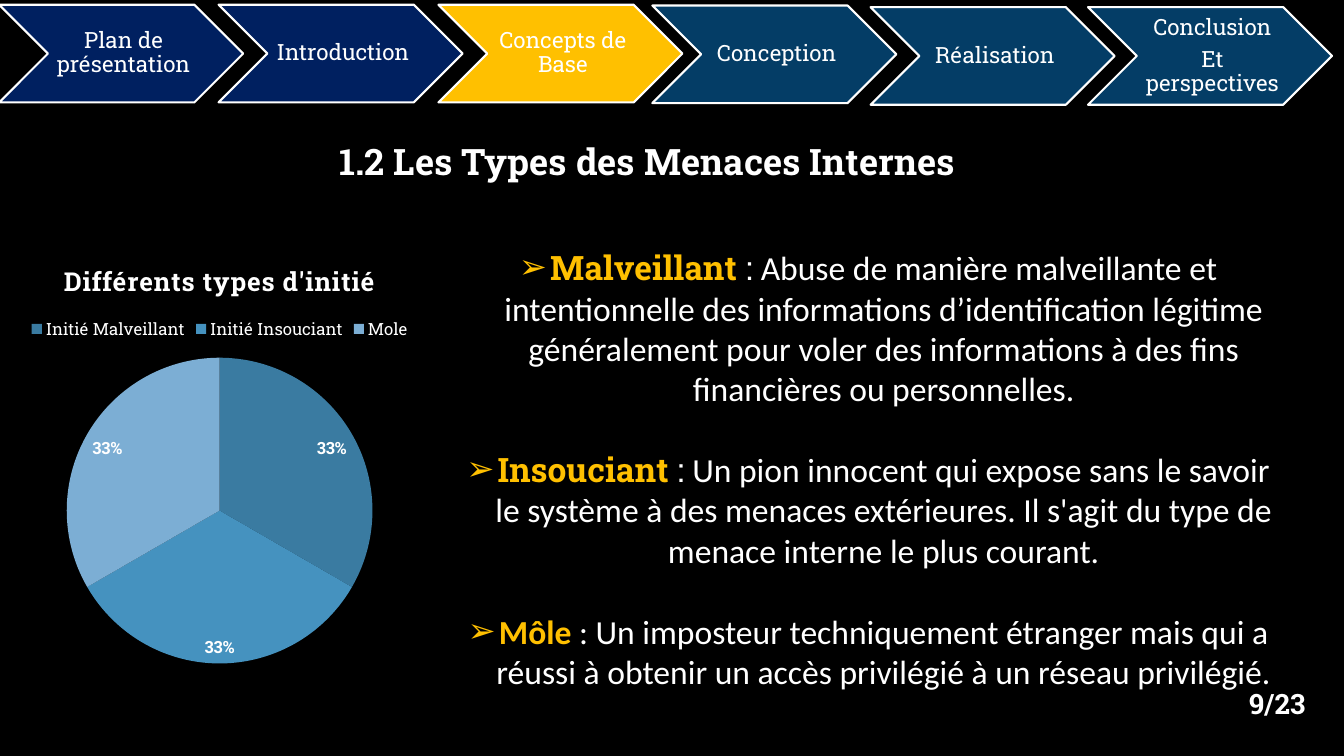
from lxml import etree
from pptx import Presentation
from pptx.chart.data import CategoryChartData
from pptx.dml.color import RGBColor
from pptx.enum.chart import XL_CHART_TYPE, XL_LABEL_POSITION, XL_LEGEND_POSITION
from pptx.enum.shapes import MSO_SHAPE
from pptx.enum.text import MSO_ANCHOR, MSO_AUTO_SIZE, PP_ALIGN
from pptx.oxml.ns import qn
from pptx.util import Cm, Pt

CENTER, RIGHT = PP_ALIGN.CENTER, PP_ALIGN.RIGHT
MIDDLE, TOP = MSO_ANCHOR.MIDDLE, MSO_ANCHOR.TOP
NO_FIT = MSO_AUTO_SIZE.NONE
CHEVRON = MSO_SHAPE.CHEVRON
PIE = XL_CHART_TYPE.PIE
INSIDE_END = XL_LABEL_POSITION.INSIDE_END
LEGEND_TOP = XL_LEGEND_POSITION.TOP

SLAB, SANS = "Roboto Slab", "Calibri"
COLORS = {
    "background": "000000",
    "text": "FFFFFF",
    "done": "002060",
    "current": "FFC000",
    "upcoming": "043D66",
    "malicious": "3A7BA1",
    "careless": "4592BF",
    "mole": "7CAED4",
}


def rgb(name):
    return RGBColor.from_string(COLORS[name])


def set_font(font, size, face=SLAB, color="text", bold=False):
    font.size, font.name, font.bold = Pt(size), face, bold
    font.color.rgb = rgb(color)


prs = Presentation()
prs.slide_width, prs.slide_height = Cm(33.87), Cm(19.05)
slide = prs.slides.add_slide(prs.slide_layouts[1])
slide.background.fill.solid()
slide.background.fill.fore_color.rgb = rgb("background")

# Title
title = slide.shapes.title
title.left, title.top, title.width, title.height = Cm(6.3), Cm(3.38), Cm(20.04), Cm(1.37)
title.text_frame.text = "1.2 Les Types des Menaces Internes"
title.text_frame.auto_size = NO_FIT
title.text_frame.vertical_anchor = MIDDLE
heading = title.text_frame.paragraphs[0]
heading.alignment = CENTER
set_font(heading.font, 26, bold=True)

# Progress chevrons: left, top, state, label
steps = [
    (-0.02, 0.12, "done", "Plan de présentation"),
    (5.51, 0.12, "done", "Introduction"),
    (11.05, 0.12, "current", "Concepts de Base"),
    (16.44, 0.14, "upcoming", "Conception"),
    (21.94, 0.18, "upcoming", "Réalisation"),
    (27.42, 0.18, "upcoming", "Conclusion\nEt perspectives"),
]
for left, top, state, label in steps:
    step = slide.shapes.add_shape(CHEVRON, Cm(left), Cm(top), Cm(6.15), Cm(2.46))
    step.shadow.inherit = False
    step.fill.solid()
    step.fill.fore_color.rgb = rgb(state)
    step.line.color.rgb = rgb("text")
    step.line.width = Pt(1.5)
    frame = step.text_frame
    frame.word_wrap = True
    frame.vertical_anchor = MIDDLE
    frame.margin_left = Cm(0.17)
    frame.margin_top = frame.margin_right = frame.margin_bottom = Cm(0.05)
    frame.text = label
    for line in frame.paragraphs:
        line.alignment = CENTER
        line.line_spacing = 0.9
        line.space_after = Pt(5.6)
        set_font(line.font, 16)

# Page number
page = slide.shapes.add_textbox(Cm(30.81), Cm(17.07), Cm(2.34), Cm(1.3)).text_frame
page.word_wrap = True
page.vertical_anchor = MIDDLE
page.text = "9/23"
page.paragraphs[0].alignment = RIGHT
set_font(page.paragraphs[0].font, 20, bold=True)

# Pie of insider types
insider_data = CategoryChartData()
insider_data.categories = ["Initié Malveillant", "Initié Insouciant", "Mole"]
insider_data.add_series("Différents types d'initié", (33, 33, 33))
insiders = slide.shapes.add_chart(
    PIE, Cm(-3.61), Cm(6.1), Cm(18.29), Cm(10.97), insider_data
).chart
set_font(insiders.font, 10)

insiders.has_title = True
insiders.chart_title.include_in_layout = False
caption = insiders.chart_title.text_frame
caption.text = "Différents types d'initié"
set_font(caption.paragraphs[0].runs[0].font, 18.6, bold=True)
caption.paragraphs[0].runs[0]._r.get_or_add_rPr().set("spc", "50")

insiders.has_legend = True
insiders.legend.position = LEGEND_TOP
insiders.legend.include_in_layout = False
set_font(insiders.legend.font, 12)

plot = insiders.plots[0]
plot.vary_by_categories = True
for index, slice_color in enumerate(("malicious", "careless", "mole")):
    fill = plot.series[0].points[index].format.fill
    fill.solid()
    fill.fore_color.rgb = rgb(slice_color)
plot.has_data_labels = True
shares = plot.data_labels
shares.show_percentage = True
shares.show_value = False
shares.number_format, shares.number_format_is_linked = "0%", False
shares.position = INSIDE_END
set_font(shares.font, 12, bold=True)

# Definitions: term, its font, separator, separator font, meaning
definitions = [
    ("Malveillant", SLAB, " : ", SLAB,
     "Abuse de manière malveillante et intentionnelle des informations "
     "d’identification légitime généralement pour voler des informations "
     "à des fins financières ou personnelles."),
    ("Insouciant", SLAB, " : ", SLAB,
     "Un pion innocent qui expose sans le savoir le système à des menaces "
     "extérieures. Il s'agit du type de menace interne le plus courant."),
    ("Môle", SANS, " : ", SANS,
     "Un imposteur techniquement étranger mais qui a réussi à obtenir "
     "un accès privilégié à un réseau privilégié."),
]
body = slide.placeholders[1]
body.left, body.top, body.width, body.height = Cm(11.18), Cm(6.1), Cm(21.39), Cm(12.32)
body.text_frame.auto_size = NO_FIT
body.text_frame.vertical_anchor = TOP
for index, (term, term_face, separator, separator_face, meaning) in enumerate(definitions):
    entry = body.text_frame.paragraphs[0] if index == 0 else body.text_frame.add_paragraph()
    entry.alignment = CENTER
    entry.space_before = Pt(29 if index else 0)
    properties = entry._p.get_or_add_pPr()
    properties.set("marL", str(Cm(0.79)))
    properties.set("indent", str(Cm(-0.79)))
    etree.SubElement(properties, qn("a:buChar")).set("char", "➢")
    for text, face, color in (
        (term, term_face, "current"),
        (separator, separator_face, "text"),
        (meaning, SANS, "text"),
    ):
        run = entry.add_run()
        run.text = text
        set_font(run.font, 24, face, color, bold=color == "current")

prs.save("out.pptx")
